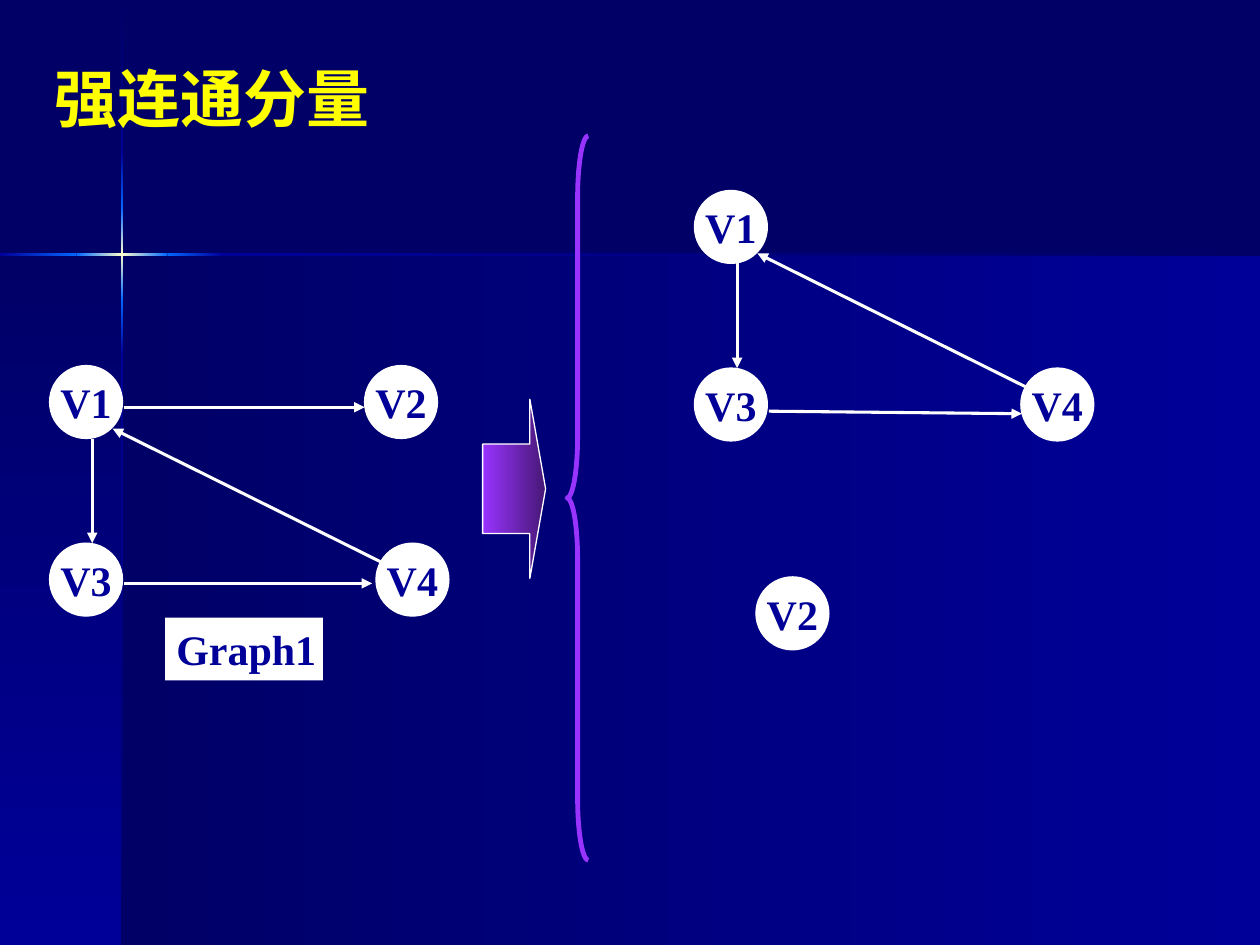
import copy
import itertools

import pptx
import pptx.dml.color
import pptx.enum.shapes
import pptx.enum.text
import pptx.oxml
import pptx.oxml.ns
import pptx.util

Cm = pptx.util.Cm
SHAPE = pptx.enum.shapes.MSO_SHAPE
ALIGN = pptx.enum.text.PP_ALIGN
ANCHOR = pptx.enum.text.MSO_ANCHOR
AUTO_SIZE = pptx.enum.text.MSO_AUTO_SIZE

COLORS = {
    "navy": "000066",
    "blue": "000099",
    "azure": "0066FF",
    "cream": "FFFFCC",
    "yellow": "FFFF00",
    "white": "FFFFFF",
    "violet": "9933FF",
    "plum": "471876",
}
FONT = "Times New Roman"
WIDTH, HEIGHT = 25.4, 19.05
NODE = 1.47  # diameter of a vertex


def rgb(name):
    return pptx.dml.color.RGBColor.from_string(COLORS[name])


def write(tf, text, size=24, color="blue", align=ALIGN.CENTER, anchor=ANCHOR.MIDDLE,
          wrap=False, auto_size=AUTO_SIZE.NONE):
    tf.word_wrap = wrap
    tf.auto_size = auto_size
    tf.vertical_anchor = anchor
    p = tf.paragraphs[0]
    p.alignment = align
    r = p.add_run()
    r.text = text
    r.font.name = FONT
    r.font.size = pptx.util.Pt(size)
    r.font.bold = True
    r.font.color.rgb = rgb(color)


def paint(sp, colors, angle=0):
    """Fill with one colour, or with evenly spaced stops; angle 90 runs downwards."""
    fill = sp.fill
    if len(colors) == 1:
        fill.solid()
        fill.fore_color.rgb = rgb(colors[0])
        return
    fill.gradient()
    fill.gradient_angle = -angle % 360
    stops = sp._element.spPr.find(".//" + pptx.oxml.ns.qn("a:gsLst"))
    while len(stops) < len(colors):
        stops.append(copy.deepcopy(stops[0]))
    for i, (stop, color) in enumerate(zip(fill.gradient_stops, colors)):
        stop.position = i / (len(colors) - 1)
        stop.color.rgb = rgb(color)


class Deck:
    def __init__(self):
        self.prs = pptx.Presentation()
        self.prs.slide_width, self.prs.slide_height = Cm(WIDTH), Cm(HEIGHT)
        self.s = self.prs.slides.add_slide(self.prs.slide_layouts[5])
        self.s.background.fill.solid()
        self.s.background.fill.fore_color.rgb = rgb("navy")

    def shape(self, kind, x, y, w, h, colors=(), angle=0, line=None, weight=0.75):
        sp = self.s.shapes.add_shape(kind, Cm(x), Cm(y), Cm(w), Cm(h))
        sp.shadow.inherit = False
        if colors:
            paint(sp, colors, angle)
        else:
            sp.fill.background()
        if line:
            sp.line.color.rgb = rgb(line)
            sp.line.width = pptx.util.Pt(weight)
        else:
            sp.line.fill.background()
        return sp

    def title(self, text, x, y, w, h):
        sp = self.s.shapes.title
        sp.left, sp.top, sp.width, sp.height = Cm(x), Cm(y), Cm(w), Cm(h)
        write(sp.text_frame, text, size=36, color="yellow", align=ALIGN.LEFT,
              anchor=ANCHOR.TOP, wrap=True)
        self.s.shapes._spTree.append(sp._element)  # in front of the backdrop

    def label(self, text, x, y, w, h):
        sp = self.s.shapes.add_textbox(Cm(x), Cm(y), Cm(w), Cm(h))
        write(sp.text_frame, text, anchor=ANCHOR.TOP, auto_size=AUTO_SIZE.SHAPE_TO_FIT_TEXT)

    def vertex(self, text, x, y):
        sp = self.shape(SHAPE.FLOWCHART_CONNECTOR, x, y, NODE, NODE, ["white"], line="white")
        write(sp.text_frame, text)

    def edge(self, x1, y1, x2, y2):
        c = self.s.shapes.add_connector(pptx.enum.shapes.MSO_CONNECTOR.STRAIGHT,
                                        Cm(x1), Cm(y1), Cm(x2), Cm(y2))
        c.line.color.rgb = rgb("white")
        c.line.width = pptx.util.Pt(1.75)
        ln = c.line._get_or_add_ln()
        pptx.oxml.ns.qn("a:tailEnd")
        tail = ln.makeelement(pptx.oxml.ns.qn("a:tailEnd"), {"type": "triangle"})
        ln.append(tail)
        spPr = c._element.spPr
        spPr.append(spPr.makeelement(pptx.oxml.ns.qn("a:effectLst"), {}))

    def backdrop(self):
        """Two shaded panels with a glinting cross where they meet."""
        x, y, thick = 2.46, 5.13, 0.05
        shades = ["navy", "blue"]
        self.shape(SHAPE.RECTANGLE, x, y, WIDTH - x, HEIGHT - y, shades)
        self.shape(SHAPE.RECTANGLE, 0, y, x, HEIGHT - y, shades, angle=90)
        glow = [["navy", "blue"], ["blue", "azure"], ["azure", "cream", "azure"],
                ["azure", "blue"], ["blue", "navy"]]
        down = itertools.pairwise([0.03, 3.07, 4.19, 6.05, 7.16, HEIGHT])
        for (start, end), colors in zip(down, glow):
            self.shape(SHAPE.RECTANGLE, x - thick / 2, start, thick, end - start, colors, 90)
        across = itertools.pairwise([0, 1.54, 3.38, 4.5, WIDTH])
        for (start, end), colors in zip(across, glow[1:]):
            self.shape(SHAPE.RECTANGLE, start, y - thick / 2, end - start, thick, colors)

    def cycle(self, x, y, base):
        """V1 -> V3 -> V4 -> V1 with V1 at x, y; base is the V3 -> V4 edge."""
        edges = [(0.86, NODE, 0.86, 3.58), base, (6.78, 4.01, 1.27, 1.27)]
        for x1, y1, x2, y2 in edges:
            self.edge(x + x1, y + y1, x + x2, y + y2)
        for text, dx, dy in [("V4", 6.58, 3.58), ("V3", 0, 3.58), ("V1", 0, 0)]:
            self.vertex(text, x + dx, y + dy)


def main():
    deck = Deck()
    deck.backdrop()
    deck.title("强连通分量", 0.84, 1.07, 22.43, 1.78)

    deck.cycle(14, 3.84, base=(1.5, 4.45, 6.6, 4.5))
    deck.vertex("V2", 15.24, 11.63)

    deck.shape(SHAPE.RIGHT_ARROW, 9.73, 8.05, 1.27, 3.61, ["violet", "plum"],
               line="white").adjustments[1] = 0.25
    brace = deck.shape(SHAPE.LEFT_BRACE, 11.43, 2.74, 0.43, 14.6, line="violet", weight=2.75)
    brace.adjustments[0], brace.adjustments[1] = 2.88, 0.5

    x, y = 1, 7.37
    deck.cycle(x, y, base=(1.5, 4.39, 6.5, 4.39))
    deck.edge(x + 1.5, y + 0.84, x + 6.35, y + 0.84)
    deck.vertex("V2", x + 6.35, y)
    deck.shape(SHAPE.RECTANGLE, 3.33, 12.45, 3.18, 1.27, ["white"])
    deck.label("Graph1", 3.3, 12.45, 3.33, 1.27)

    deck.prs.save("out.pptx")


if __name__ == "__main__":
    main()
